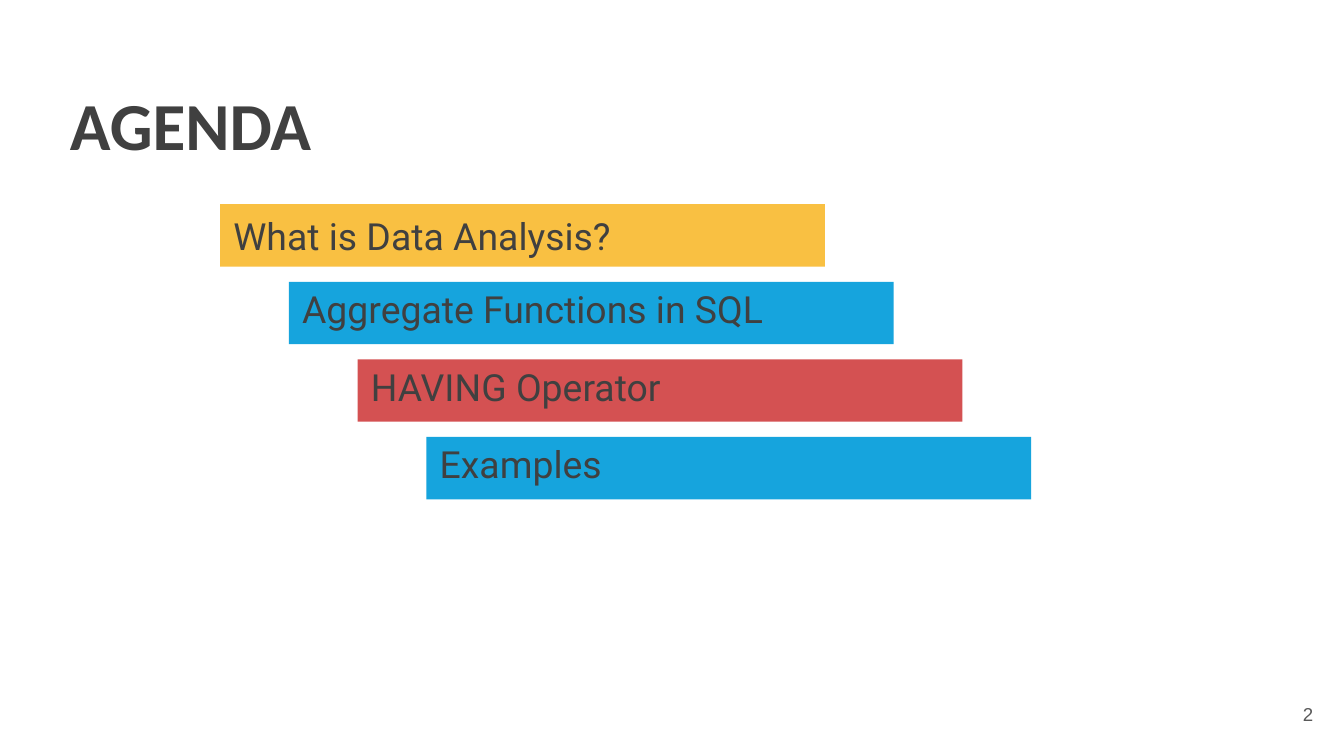
from pptx import Presentation
from pptx.dml.color import RGBColor
from pptx.enum import shapes, text
from pptx.util import Cm, Pt

DARK = RGBColor(0x40, 0x40, 0x40)
GRAY = RGBColor(0x59, 0x59, 0x59)
YELLOW = RGBColor(0xF9, 0xC0, 0x42)
BLUE = RGBColor(0x16, 0xA4, 0xDD)
RED = RGBColor(0xD4, 0x51, 0x52)

TOPICS = [
    ("What is Data Analysis?", YELLOW, 1.0),
    ("Aggregate Functions in SQL", BLUE, 0.8),
    ("HAVING Operator", RED, 0.8),
    ("Examples", BLUE, 0.8),
]


def write(shape, words, font_name, size, color, anchor,
          align=text.PP_ALIGN.LEFT, bold=False):
    """Put one formatted paragraph into the shape and return it."""
    frame = shape.text_frame
    frame.text = words
    frame.word_wrap = True
    frame.auto_size = text.MSO_AUTO_SIZE.NONE
    frame.vertical_anchor = anchor
    frame.margin_left = frame.margin_right = Cm(0.25)
    frame.margin_top = frame.margin_bottom = Cm(0.25)
    para = frame.paragraphs[0]
    para.alignment = align
    font = para.runs[0].font
    font.name, font.size, font.bold = font_name, Pt(size), bold
    font.color.rgb = color
    return para


def place_title(page, left, top, width, height):
    title = page.shapes.title
    title.left, title.top = left, top
    title.width, title.height = width, height
    write(title, "AGENDA", "Calibri", 36, DARK, text.MSO_ANCHOR.TOP, bold=True)


def place_topics(page, left, top, width, height):
    """Draw the topics as bars stepping down to the right within the box."""
    bar_width, bar_height = Cm(11.43), Cm(1.18)
    steps = len(TOPICS) - 1
    step_x = (width - bar_width) / steps
    step_y = (height - bar_height) / steps
    for index, (topic, color, spacing) in enumerate(TOPICS):
        bar = page.shapes.add_shape(
            shapes.MSO_SHAPE.RECTANGLE,
            round(left + index * step_x), round(top + index * step_y),
            bar_width, bar_height)
        bar.shadow.inherit = False
        bar.fill.solid()
        bar.fill.fore_color.rgb = color
        bar.line.fill.background()
        para = write(bar, topic, "Roboto", 20, DARK, text.MSO_ANCHOR.MIDDLE)
        para.line_spacing = spacing


def place_page_number(page, left, top, width, height):
    box = page.shapes.add_textbox(left, top, width, height)
    write(box, "2", "Arial", 10, GRAY, text.MSO_ANCHOR.MIDDLE,
          align=text.PP_ALIGN.RIGHT)


def main():
    deck = Presentation()
    deck.slide_width, deck.slide_height = Cm(25.4), Cm(14.29)
    page = deck.slides.add_slide(deck.slide_layouts.get_by_name("Title Only"))
    place_title(page, Cm(1.07), Cm(1.32), Cm(10.19), Cm(1.6))
    place_topics(page, Cm(4.16), Cm(3.86), Cm(15.33), Cm(5.58))
    place_page_number(page, Cm(23.55), Cm(12.95), Cm(1.52), Cm(1.09))
    deck.save("out.pptx")


if __name__ == "__main__":
    main()
